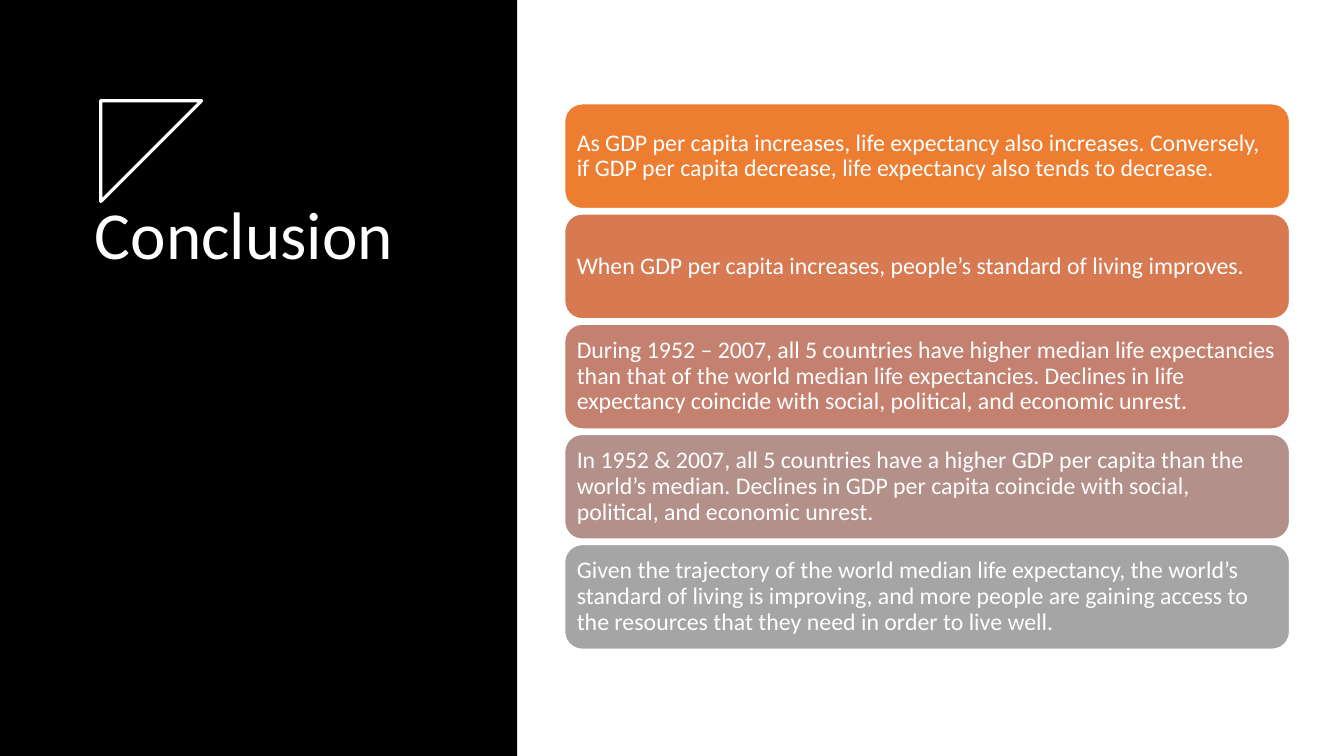
from dataclasses import dataclass
from math import cos, radians, sin

from pptx import Presentation
from pptx.dml.color import RGBColor
from pptx.enum.shapes import MSO_SHAPE
from pptx.enum.text import MSO_ANCHOR, MSO_AUTO_SIZE, PP_ALIGN
from pptx.util import Inches, Pt

# Content
TITLE = "Conclusion"
FINDINGS = [
    ("As GDP per capita increases, life expectancy also increases. Conversely, "
     "if GDP per capita decrease, life expectancy also tends to decrease.", "ED7D31"),
    ("When GDP per capita increases, people’s standard of living improves.", "D87A51"),
    ("During 1952 – 2007, all 5 countries have higher median life expectancies "
     "than that of the world median life expectancies. Declines in life expectancy "
     "coincide with social, political, and economic unrest.", "C48170"),
    ("In 1952 & 2007, all 5 countries have a higher GDP per capita than the world’s "
     "median. Declines in GDP per capita coincide with social, political, and "
     "economic unrest.", "B4908B"),
    ("Given the trajectory of the world median life expectancy, the world’s standard "
     "of living is improving, and more people are gaining access to the resources "
     "that they need in order to live well.", "A5A5A5"),
]
HEXAGONS = [(1.21, 1.345, 0.65), (1.77, 1.015, 0.53)]  # centre x, centre y, height


@dataclass(frozen=True)
class Theme:
    font: str = "Calibri"
    white: RGBColor = RGBColor(255, 255, 255)
    black: RGBColor = RGBColor(0, 0, 0)
    title_size: Pt = Pt(48)
    body_size: Pt = Pt(17)
    line_spacing: float = 0.9


THEME = Theme()


def write(frame, text, size, anchor):
    frame.text = text
    frame.word_wrap = True
    frame.auto_size = MSO_AUTO_SIZE.NONE
    frame.vertical_anchor = anchor
    para = frame.paragraphs[0]
    para.alignment = PP_ALIGN.LEFT
    para.line_spacing = THEME.line_spacing
    font = para.runs[0].font
    font.name, font.size, font.color.rgb = THEME.font, size, THEME.white


def rounded_hexagon(center_x, center_y, height, cut=0.1, steps=4):
    """Outline points of a regular hexagon with softened corners."""
    radius = height / 3 ** 0.5
    corners = [(center_x + radius * cos(radians(60 * i)),
                center_y + radius * sin(radians(60 * i))) for i in range(6)]
    points = []
    for i, corner in enumerate(corners):
        before, after = corners[i - 1], corners[(i + 1) % 6]
        for step in range(steps + 1):
            t = step / steps
            pull_before, pull_after = cut * (1 - t) ** 2, cut * t ** 2
            points.append(tuple(
                c + pull_before * (b - c) + pull_after * (a - c)
                for b, c, a in zip(before, corner, after)))
    return points


deck = Presentation()
deck.slide_width, deck.slide_height = Inches(13.33), Inches(7.5)
page = deck.slides.add_slide(deck.slide_layouts[5])

# Black side panel, placed behind the title
panel = page.shapes.add_shape(MSO_SHAPE.RECTANGLE, 0, 0, Inches(5.13), deck.slide_height)
panel.shadow.inherit = False
panel.fill.solid()
panel.fill.fore_color.rgb = THEME.black
panel.line.fill.background()

title = page.shapes.title
title.element.addprevious(panel.element)
title.left, title.top = Inches(0.84), Inches(1.95)
title.width, title.height = Inches(3.92), Inches(3.5)
write(title.text_frame, TITLE, THEME.title_size, MSO_ANCHOR.TOP)

# Hexagon ornament
for hexagon in HEXAGONS:
    first, *rest = rounded_hexagon(*hexagon)
    builder = page.shapes.build_freeform(*first, scale=Inches(1))
    builder.add_line_segments(rest, close=True)
    outline = builder.convert_to_shape()
    outline.shadow.inherit = False
    outline.fill.background()
    outline.line.color.rgb = THEME.white
    outline.line.width = Pt(2.25)

# Stack of finding cards
CARD_LEFT, CARD_TOP, CARD_WIDTH, CARD_HEIGHT = 5.6, 1.03, 7.19, 1.04
CARD_PITCH = 1.093
for row, (finding, color) in enumerate(FINDINGS):
    card = page.shapes.add_shape(
        MSO_SHAPE.ROUNDED_RECTANGLE, Inches(CARD_LEFT),
        Inches(CARD_TOP + row * CARD_PITCH), Inches(CARD_WIDTH), Inches(CARD_HEIGHT))
    card.shadow.inherit = False
    card.fill.solid()
    card.fill.fore_color.rgb = RGBColor.from_string(color)
    card.line.color.rgb = THEME.white
    card.line.width = Pt(1)
    frame = card.text_frame
    frame.margin_left = frame.margin_right = Inches(0.07)
    frame.margin_top = frame.margin_bottom = Inches(0.07)
    write(frame, finding, THEME.body_size, MSO_ANCHOR.MIDDLE)

deck.save("out.pptx")
